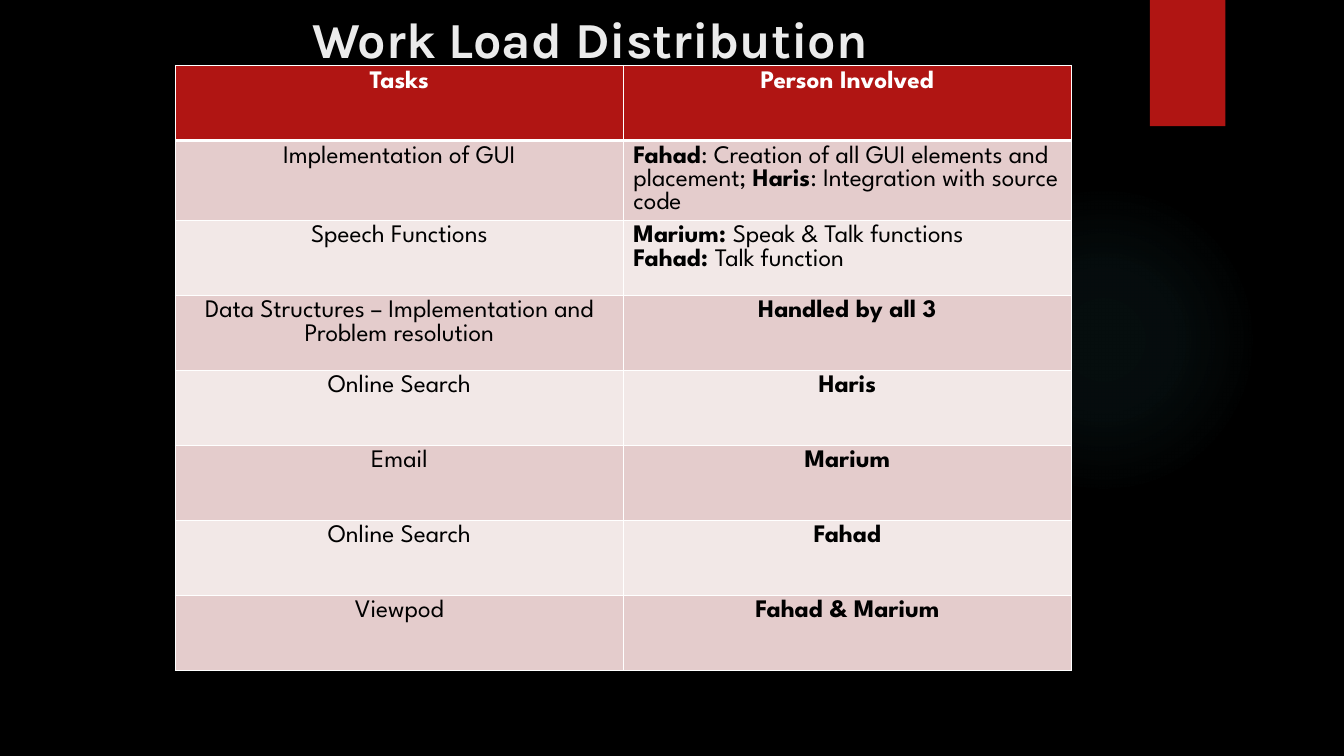
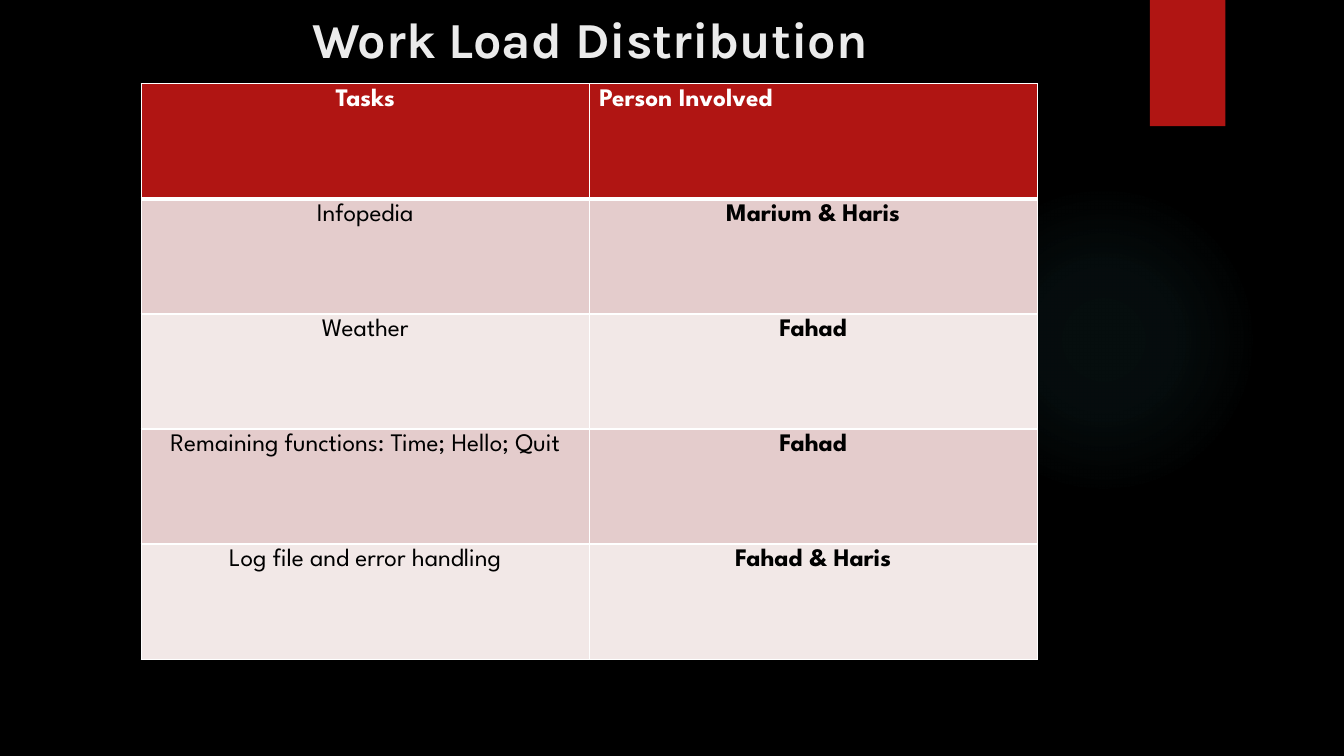
"""Build the two work load distribution slides."""
from dataclasses import dataclass

from pptx import Presentation
from pptx import util as u
from pptx.dml.color import RGBColor
from pptx.enum import shapes, text
from pptx.oxml import parse_xml
from pptx.oxml.ns import nsdecls, qn

COLOURS = {
    "background": "000000",
    "accent": "B01513",
    "glow": "50B9C1",
    "title": "EBEBEB",
    "border": "FFFFFF",
    "heading": "FFFFFF",
    "body": "000000",
    "odd_row": "E4CCCC",
    "even_row": "F2E8E7",
}
TITLE_FONT = {"name": "Karla", "size": u.Pt(36), "bold": True}
CELL_FONT = {"name": "League Spartan", "size": u.Pt(18)}
TITLE_FRAME = {
    "word_wrap": True,
    "auto_size": text.MSO_AUTO_SIZE.NONE,
    "vertical_anchor": text.MSO_ANCHOR.TOP,
    "margin_top": u.Cm(0.2),
}
COLUMN_WIDTH = u.Cm(11.29)
GLOW_STOPS = ((0, 7), (36, 6), (69, 0))


@dataclass(frozen=True)
class Run:
    words: str
    bold: bool = False


@dataclass(frozen=True)
class Entry:
    paragraphs: tuple[tuple[Run, ...], ...]
    centred: bool = True


@dataclass(frozen=True)
class Workload:
    title_height: float
    left: float
    top: float
    row_height: float
    rows: tuple[tuple[Entry, Entry], ...]


def plain(words: str) -> Entry:
    return Entry(((Run(words),),))


def strong(words: str, centred: bool = True) -> Entry:
    return Entry(((Run(words, True),),), centred)


WORKLOADS = (
    Workload(3.89, 4.42, 1.65, 1.89, (
        (strong("Tasks"), strong("Person Involved")),
        (plain("Implementation of GUI"), Entry(((
            Run("Fahad", True),
            Run(": Creation of all GUI elements and placement; "),
            Run("Haris", True),
            Run(": Integration with source code"),
        ),), False)),
        (plain("Speech Functions"), Entry((
            (Run("Marium: ", True), Run("Speak & Talk functions")),
            (Run("Fahad: ", True), Run("Talk function")),
        ), False)),
        (plain("Data Structures – Implementation and Problem resolution"),
         strong("Handled by all 3")),
        (plain("Online Search"), strong("Haris")),
        (plain("Email"), strong("Marium")),
        (plain("Online Search"), strong("Fahad")),
        (plain("Viewpod"), strong("Fahad & Marium")),
    )),
    Workload(2.11, 3.56, 2.11, 2.9, (
        (strong("Tasks"), strong("Person Involved", centred=False)),
        (plain("Infopedia"), strong("Marium & Haris")),
        (plain("Weather"), strong("Fahad")),
        (plain("Remaining functions: Time; Hello; Quit"), strong("Fahad")),
        (plain("Log file and error handling"), strong("Fahad & Haris")),
    )),
)


def rgb(role: str) -> RGBColor:
    return RGBColor.from_string(COLOURS[role])


def apply(target: object, values: dict[str, object]) -> None:
    for attribute, value in values.items():
        setattr(target, attribute, value)


def add_decor(slide, kind, left: float, top: float, width: float, height: float):
    decor = slide.shapes.add_shape(
        kind, u.Cm(left), u.Cm(top), u.Cm(width), u.Cm(height))
    decor.fill.background()
    decor.line.fill.background()
    decor.shadow.inherit = False
    return decor


def dress_layout(layout, slide) -> None:
    backdrop = layout.background.fill
    backdrop.solid()
    backdrop.fore_color.rgb = rgb("background")

    glow = add_decor(slide, shapes.MSO_SHAPE.OVAL, 23.9, 4.65, 7.82, 7.82)
    stops = "".join(
        f'<a:gs pos="{position * 1000}"><a:srgbClr val="{COLOURS["glow"]}">'
        f'<a:alpha val="{opacity * 1000}"/></a:srgbClr></a:gs>'
        for position, opacity in GLOW_STOPS)
    gradient = parse_xml(
        f'<a:gradFill {nsdecls("a")} rotWithShape="1"><a:gsLst>{stops}</a:gsLst>'
        '<a:path path="circle"><a:fillToRect l="50000" t="50000" r="50000" '
        'b="50000"/></a:path></a:gradFill>')
    glow_properties = glow.element.spPr
    glow_properties.replace(glow_properties.find(qn("a:noFill")), gradient)

    ribbon = add_decor(slide, shapes.MSO_SHAPE.RECTANGLE, 28.98, 0, 1.9, 3.18)
    ribbon.fill.solid()
    ribbon.fill.fore_color.rgb = rgb("accent")
    ribbon.element.spPr.find(qn("a:effectLst")).append(parse_xml(
        f'<a:outerShdw {nsdecls("a")} blurRad="{u.Pt(3)}" dist="{u.Pt(2)}" '
        'dir="5400000" rotWithShape="0"><a:srgbClr val="000000">'
        '<a:alpha val="45000"/></a:srgbClr></a:outerShdw>'))

    for offset, decor in enumerate((glow, ribbon)):
        layout.shapes.element.insert(2 + offset, decor.element)


def add_title(slide, height: float) -> None:
    title = slide.shapes.title
    apply(title, {"left": u.Cm(1.8), "top": u.Cm(0),
                  "width": u.Cm(26.14), "height": u.Cm(height)})
    apply(title.text_frame, TITLE_FRAME)
    title.text_frame.text = "Work Load Distribution"
    heading = title.text_frame.paragraphs[0]
    heading.alignment = text.PP_ALIGN.CENTER
    apply(heading.font, TITLE_FONT)
    heading.font.color.rgb = rgb("title")


def add_borders(cell, row: int) -> None:
    thick_side = {0: "B", 1: "T"}.get(row)
    properties = cell._tc.get_or_add_tcPr()
    for order, side in enumerate("LRTB"):
        width = u.Pt(3 if side == thick_side else 1)
        properties.insert(order, parse_xml(
            f'<a:ln{side} {nsdecls("a")} w="{width}"><a:solidFill>'
            f'<a:srgbClr val="{COLOURS["border"]}"/></a:solidFill></a:ln{side}>'))


def fill_entry(cell, entry: Entry, row: int) -> None:
    cell.fill.solid()
    shade = "accent" if row == 0 else "odd_row" if row % 2 else "even_row"
    cell.fill.fore_color.rgb = rgb(shade)
    add_borders(cell, row)
    frame = cell.text_frame
    for index, runs in enumerate(entry.paragraphs):
        paragraph = frame.add_paragraph() if index else frame.paragraphs[0]
        paragraph.alignment = (
            text.PP_ALIGN.CENTER if entry.centred else text.PP_ALIGN.LEFT)
        for part in runs:
            run = paragraph.add_run()
            run.text = part.words
            apply(run.font, CELL_FONT | {"bold": part.bold})
            run.font.color.rgb = rgb("body" if row else "heading")


def add_workload(slide, workload: Workload) -> None:
    row_height = u.Cm(workload.row_height)
    count = len(workload.rows)
    tasks = slide.shapes.add_table(
        count, 2, u.Cm(workload.left), u.Cm(workload.top),
        2 * COLUMN_WIDTH, count * row_height).table
    for column in tasks.columns:
        column.width = COLUMN_WIDTH
    for row, entries in enumerate(workload.rows):
        tasks.rows[row].height = row_height
        for column, entry in enumerate(entries):
            fill_entry(tasks.cell(row, column), entry, row)


def main() -> None:
    deck = Presentation()
    apply(deck, {"slide_width": u.Cm(33.87), "slide_height": u.Cm(19.05)})
    layout = deck.slide_layouts[5]
    for number, workload in enumerate(WORKLOADS):
        slide = deck.slides.add_slide(layout)
        if number == 0:
            dress_layout(layout, slide)
        add_title(slide, workload.title_height)
        add_workload(slide, workload)
    deck.save("out.pptx")


if __name__ == "__main__":
    main()
